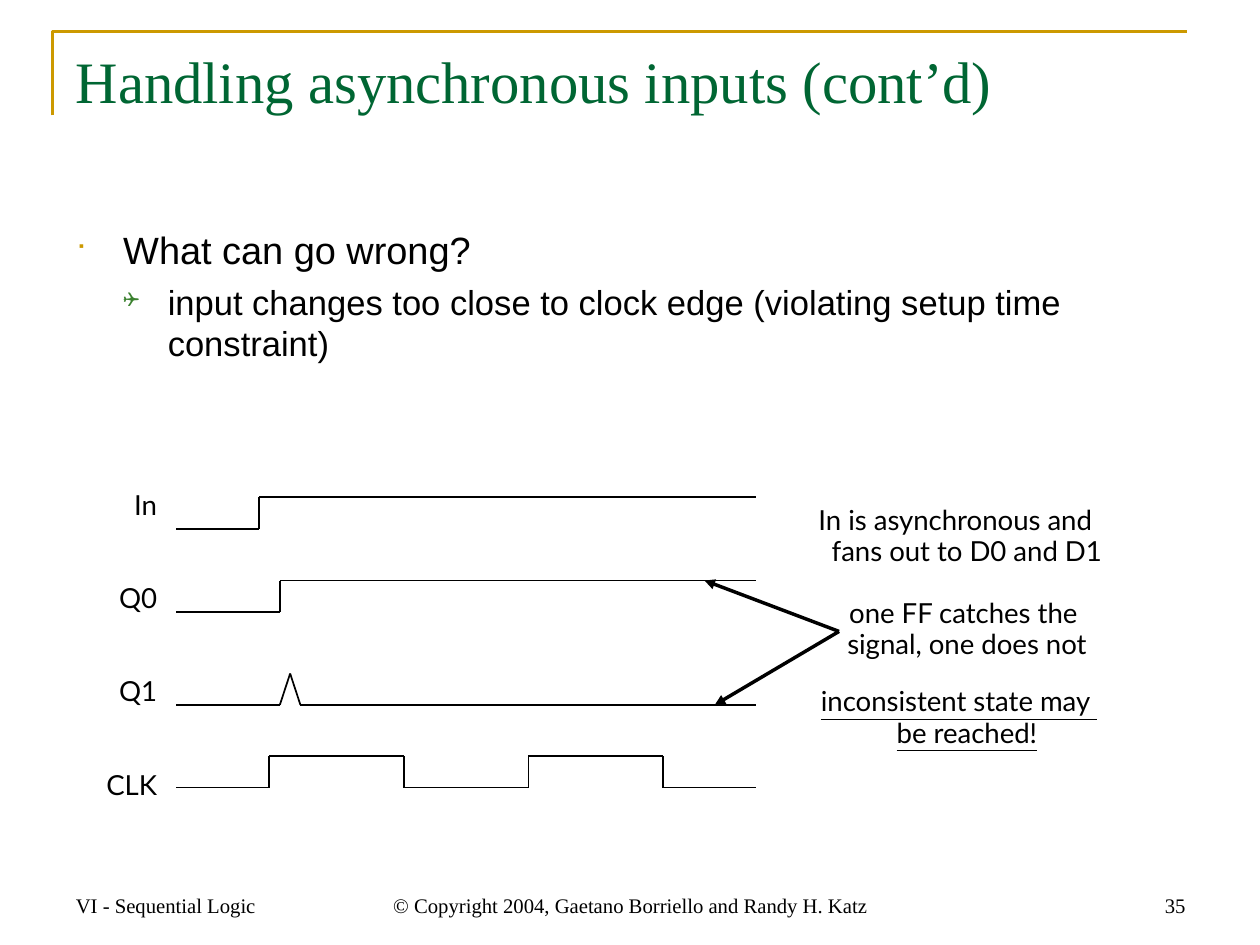
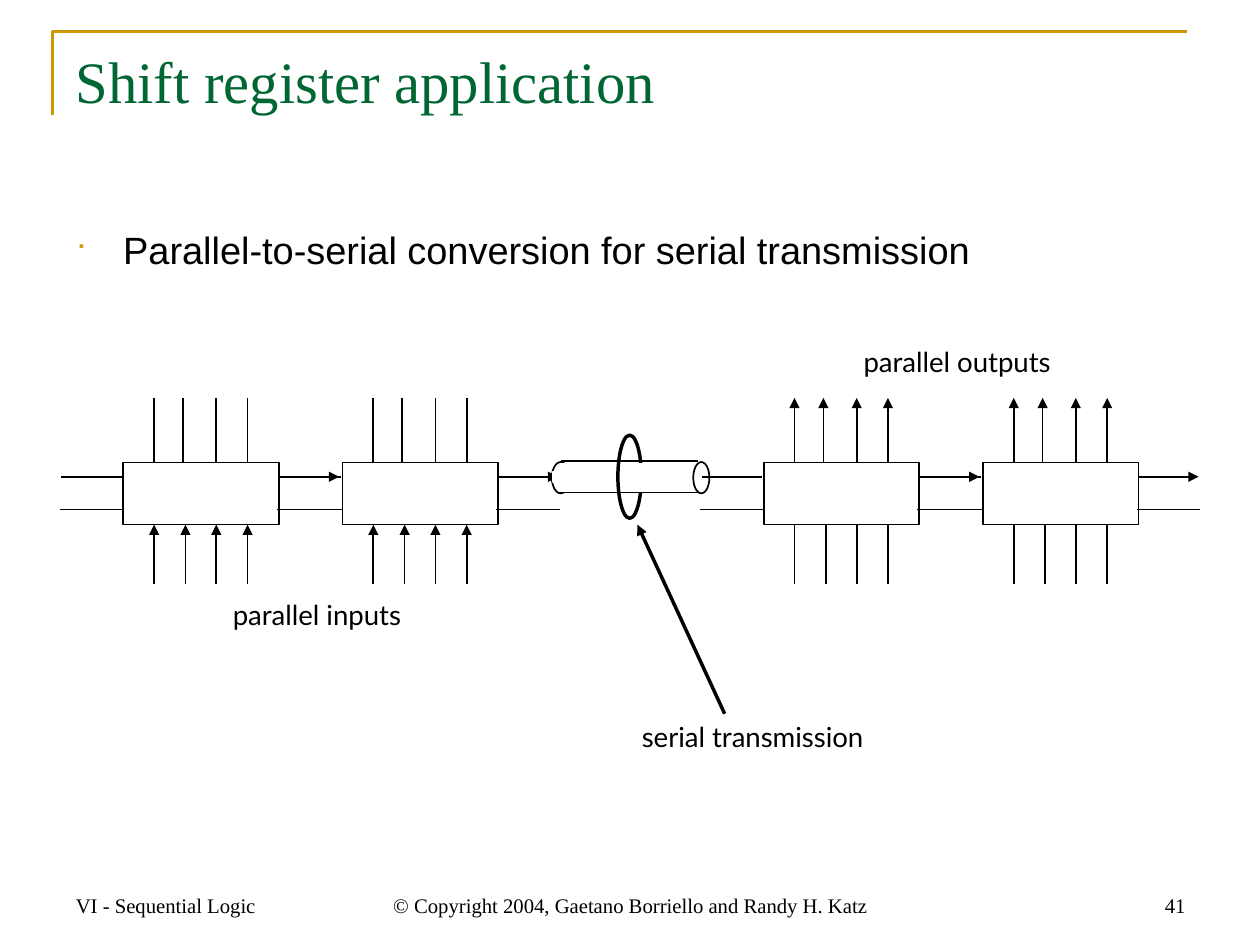
from itertools import pairwise

from lxml.etree import SubElement
from pptx import Presentation
from pptx.dml.color import RGBColor
from pptx.enum.shapes import MSO_CONNECTOR, MSO_SHAPE
from pptx.enum.text import MSO_ANCHOR, PP_ALIGN
from pptx.oxml.ns import qn
from pptx.util import Cm, Pt

SLIDE_SIZE = (Pt(730), Pt(547.25))
BLACK, WHITE, GOLD, GREEN, LEAF = "000000", "FFFFFF", "CC9900", "006633", "3B812F"
SERIF, SANS, LABEL, SYMBOLS = "Times New Roman", "Arial", "Lato", "Wingdings"
LEFT, CENTER, RIGHT = PP_ALIGN.LEFT, PP_ALIGN.CENTER, PP_ALIGN.RIGHT
WIDE_INSETS, TIGHT_INSETS = (0.25, 0.13), (0.05, 0.08)

FRAME = [(1.07, 2.36), (1.07, 0.64), (24.26, 0.64)]
TITLE_AREA = (1.3, 0.79, 23.16, 3.2)
BODY_AREA = (1.3, 4.5, 23.16, 12.75)
FOOTER_TOP, FOOTER_HEIGHT = 17.58, 1.3
SECTION = "VI - Sequential Logic"
COPYRIGHT = "© Copyright 2004, Gaetano Borriello and Randy H. Katz"

BULLETS = [
    {"mark": "■", "color": GOLD, "percent": 65, "size": 22, "left": 0.97, "hang": 0.97, "before": 0},
    {"mark": "❑", "color": LEAF, "percent": 60, "size": 20, "left": 1.88, "hang": 0.91, "before": 5},
]

ASYNC_TITLE = "Handling asynchronous inputs (cont’d)"
ASYNC_BODY = [
    (0, "What can go wrong?"),
    (1, "input changes too close to clock edge (violating setup time constraint)"),
]
SIGNAL_START, SIGNAL_END, SWING = 3.6, 15.45, 0.64
SIGNALS = [
    ("In", 10.8, [(5.29, 0), (5.29, 1), (SIGNAL_END, 1)]),
    ("Q0", 12.5, [(5.72, 0), (5.72, 1), (SIGNAL_END, 1)]),
    ("Q1", 14.4, [(5.72, 0), (5.93, 1), (6.14, 0), (SIGNAL_END, 0)]),
    ("CLK", 16.09, [(5.5, 0), (5.5, 1), (8.26, 1), (8.26, 0),
                    (10.8, 0), (10.8, 1), (13.55, 1), (13.55, 0), (SIGNAL_END, 0)]),
]
REMARKS = [
    ("In is asynchronous and \vfans out to D0 and D1", 0, -0.33, False),
    ("one FF catches the \vsignal, one does not", 18, 0, False),
    ("inconsistent state may \vbe reached!", 15, -0.33, True),
]
REMARK_POINT = (17.15, 12.9)
REMARK_TARGETS = [(14.4, 11.86), (14.61, 14.4)]

SHIFT_TITLE = "Shift register application"
SHIFT_BODY = [(0, "Parallel-to-serial conversion for serial transmission")]
REGISTER_TOP, REGISTER_WIDTH, REGISTER_HEIGHT, REGISTER_STEP = 9.45, 3.18, 1.27, 4.48
REGISTER_PAIRS = [(2.52, "sender"), (15.61, "receiver")]
UPPER_PINS, UPPER_END = (0.63, 1.22, 1.9, 2.54), 8.13
LOWER_PINS, LOWER_END = (0.63, 1.27, 1.9, 2.54), 11.94
DATA_LEVEL, CLOCK_LEVEL = 9.74, 10.41
DIAGRAM_LABELS = [
    ("parallel inputs", (3.71, 12.18, 5.54, 0.99)),
    ("parallel outputs", (16.76, 7.01, 5.61, 0.99)),
    ("serial transmission", (11.18, 14.68, 8.41, 0.99)),
]
CABLE_EDGES = [((11.46, 9.42), (14.27, 9.42)), ((14.3, 10.06), (11.4, 10.06))]
OVAL, BLOCK = MSO_SHAPE.OVAL, MSO_SHAPE.RECTANGLE
CABLE_PARTS = [
    (OVAL, (11.28, 9.44, 0.36, 0.64), None, BLACK, 1),
    (OVAL, (14.17, 9.44, 0.33, 0.64), None, BLACK, 1),
    (BLOCK, (11.46, 9.47, 0.28, 0.56), WHITE, WHITE, 1),
    (BLOCK, (11.3, 9.65, 0.25, 0.2), WHITE, WHITE, 1),
    (OVAL, (12.63, 8.89, 0.48, 1.7), None, BLACK, 2),
    (BLOCK, (12.95, 9.47, 0.28, 0.56), WHITE, WHITE, 1),
]


def rgb(color):
    return RGBColor.from_string(color)


def add_text_frame(page, area, insets=WIDE_INSETS, anchor=MSO_ANCHOR.TOP):
    frame = page.shapes.add_textbox(*map(Cm, area)).text_frame
    frame.word_wrap = True
    frame.vertical_anchor = anchor
    frame.margin_left = frame.margin_right = Cm(insets[0])
    frame.margin_top = frame.margin_bottom = Cm(insets[1])
    return frame


def write(frame, index, text, font, size, color=BLACK, align=LEFT, underline=False):
    para = frame.paragraphs[0] if index == 0 else frame.add_paragraph()
    para.text = text
    para.alignment = align
    for span in para.runs:
        span.font.name = font
        span.font.size = Pt(size)
        span.font.color.rgb = rgb(color)
        if underline:
            span.font.underline = True
    return para


def indent(para, left, first):
    properties = para._p.get_or_add_pPr()
    properties.set("marL", str(Cm(left)))
    properties.set("indent", str(Cm(first)))
    return properties


def add_bullet(para, style):
    properties = indent(para, style["left"], -style["hang"])
    color = SubElement(properties, qn("a:buClr"))
    SubElement(color, qn("a:srgbClr"), val=style["color"])
    SubElement(properties, qn("a:buSzPct"), val=str(style["percent"] * 1000))
    SubElement(properties, qn("a:buFont"), typeface=SYMBOLS)
    SubElement(properties, qn("a:buChar"), char=style["mark"])


def add_line(page, start, end, width=1, arrow=False):
    line = page.shapes.add_connector(MSO_CONNECTOR.STRAIGHT, *map(Cm, (*start, *end)))
    line.line.color.rgb = rgb(BLACK)
    line.line.width = Pt(width)
    properties = line.element.spPr
    if arrow:
        SubElement(properties.find(qn("a:ln")), qn("a:tailEnd"), type="triangle")
    SubElement(properties, qn("a:effectLst"))


def paint(shape, fill, line, width):
    shape.shadow.inherit = False
    if fill:
        shape.fill.solid()
        shape.fill.fore_color.rgb = rgb(fill)
    else:
        shape.fill.background()
    shape.line.color.rgb = rgb(line)
    shape.line.width = Pt(width)


def add_part(page, kind, area, fill, line, width):
    paint(page.shapes.add_shape(kind, *map(Cm, area)), fill, line, width)


def add_page(deck, title, body, number):
    page = deck.slides.add_slide(deck.slide_layouts[6])
    corner, *others = [(Cm(x), Cm(y)) for x, y in FRAME]
    builder = page.shapes.build_freeform(*corner)
    builder.add_line_segments(others, close=False)
    paint(builder.convert_to_shape(), None, GOLD, 1.5)

    write(add_text_frame(page, TITLE_AREA), 0, title, SERIF, 34, GREEN)
    frame = add_text_frame(page, BODY_AREA)
    for index, (level, text) in enumerate(body):
        style = BULLETS[level]
        para = write(frame, index, text, SANS, style["size"])
        para.level = level
        add_bullet(para, style)
        para.space_before = Pt(style["before"])

    footers = [(1.3, 6.02, SECTION, LEFT), (7.53, 10.72, COPYRIGHT, CENTER),
               (18.46, 6.02, str(number), RIGHT)]
    for left, width, text, align in footers:
        area = (left, FOOTER_TOP, width, FOOTER_HEIGHT)
        frame = add_text_frame(page, area, anchor=MSO_ANCHOR.BOTTOM)
        write(frame, 0, text, SERIF, 12, align=align)
    return page


def draw_timing(page):
    names = add_text_frame(page, (0.72, 9.61, 2.54, 7.01), TIGHT_INSETS)
    for index, (name, base, steps) in enumerate(SIGNALS):
        para = write(names, index, name, LABEL, 16, align=RIGHT)
        para.line_spacing = Pt(27)
        para.space_before = Pt(27 if index else 0)
        points = [(x, base - level * SWING) for x, level in [(SIGNAL_START, 0), *steps]]
        for start, end in pairwise(points):
            add_line(page, start, end)

    remarks = add_text_frame(page, (15.88, 10.24, 7.44, 5.87), TIGHT_INSETS)
    for index, (text, before, first, underline) in enumerate(REMARKS):
        para = write(remarks, index, text, LABEL, 16, align=CENTER, underline=underline)
        indent(para, 0.33, first)
        para.line_spacing = Pt(18)
        para.space_before = Pt(before)
    for target in REMARK_TARGETS:
        add_line(page, REMARK_POINT, target, 2, arrow=True)


def draw_register(page, left, role):
    right, bottom = left + REGISTER_WIDTH, REGISTER_TOP + REGISTER_HEIGHT
    area = (left, REGISTER_TOP, REGISTER_WIDTH, REGISTER_HEIGHT)
    add_part(page, BLOCK, area, WHITE, BLACK, 1)
    add_line(page, (left - 1.27, DATA_LEVEL), (left - 0.03, DATA_LEVEL))
    add_line(page, (right, DATA_LEVEL), (right + 1.23, DATA_LEVEL), arrow=True)
    for start in (left - 1.3, right - 0.04):
        add_line(page, (start, CLOCK_LEVEL), (start + 1.3, CLOCK_LEVEL))
    for pin in UPPER_PINS:
        add_line(page, (left + pin, REGISTER_TOP), (left + pin, UPPER_END),
                 arrow=role == "receiver")
    for pin in LOWER_PINS:
        add_line(page, (left + pin, LOWER_END), (left + pin, bottom),
                 arrow=role == "sender")


def draw_transmission(page):
    for left, role in REGISTER_PAIRS:
        for index in range(2):
            draw_register(page, left + index * REGISTER_STEP, role)
    for start, end in CABLE_EDGES:
        add_line(page, start, end)
    for part in CABLE_PARTS:
        add_part(page, *part)
    add_line(page, (14.81, 14.58), (13.03, 10.72), 2, arrow=True)
    for text, area in DIAGRAM_LABELS:
        frame = add_text_frame(page, area, TIGHT_INSETS)
        write(frame, 0, text, LABEL, 16, align=CENTER).line_spacing = Pt(18)


def main():
    deck = Presentation()
    deck.slide_width, deck.slide_height = SLIDE_SIZE
    draw_timing(add_page(deck, ASYNC_TITLE, ASYNC_BODY, 35))
    draw_transmission(add_page(deck, SHIFT_TITLE, SHIFT_BODY, 41))
    deck.save("out.pptx")


if __name__ == "__main__":
    main()
